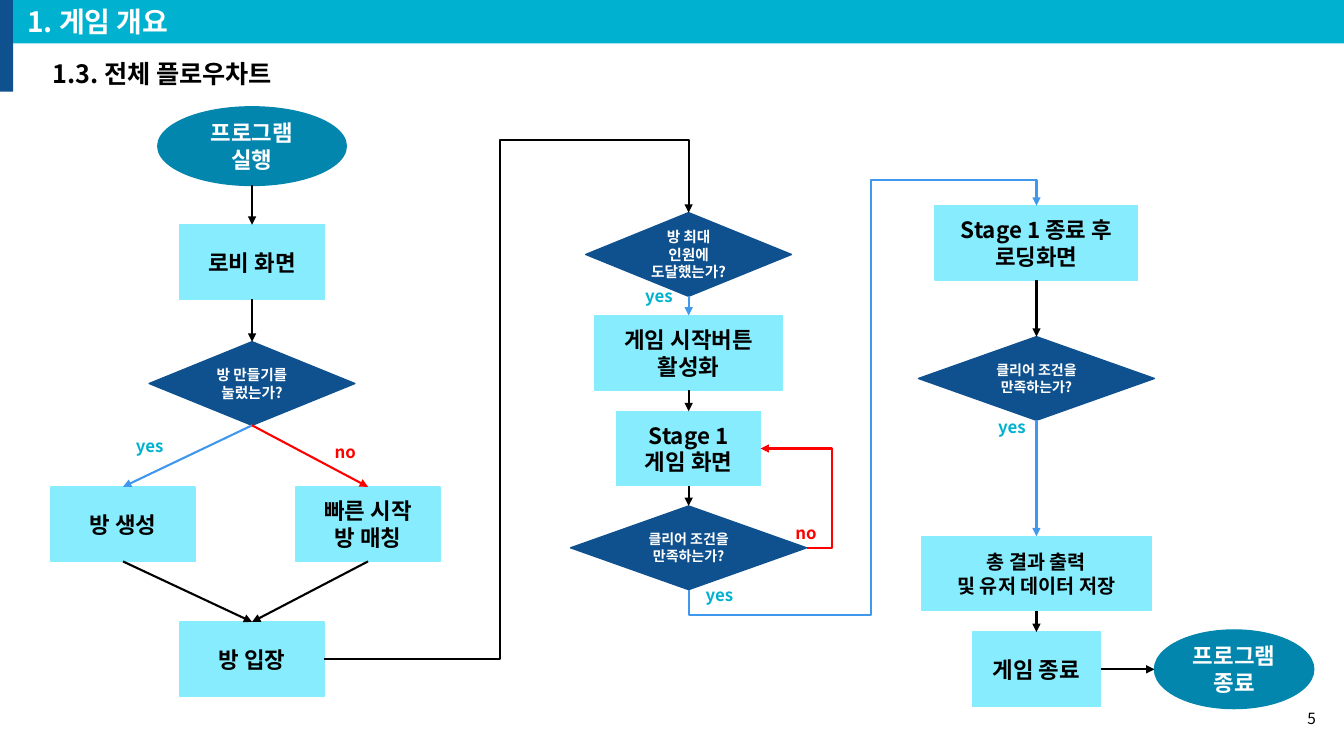
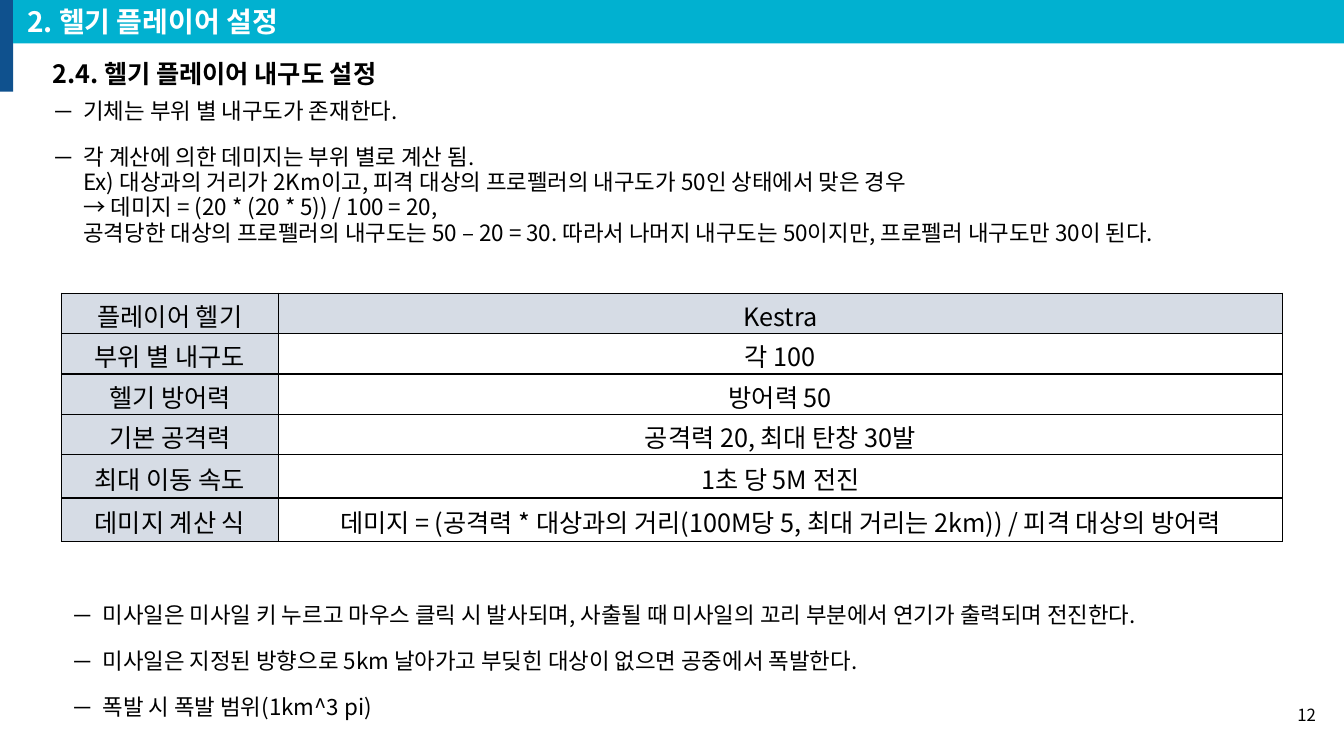
from lxml import etree
from pptx import Presentation
from pptx import util as u
from pptx.dml.color import RGBColor
from pptx.enum import shapes, text
from pptx.oxml.ns import qn

NAVY = RGBColor(0x0F, 0x51, 0x8E)
CYAN = RGBColor(0x01, 0xB1, 0xD0)
TEAL = RGBColor(0x02, 0x86, 0xAD)
SKY = RGBColor(0x87, 0xED, 0xFE)
BLUE = RGBColor(0x3F, 0x98, 0xEB)
RED = RGBColor(0xFF, 0x00, 0x00)
GRAY = RGBColor(0xD6, 0xDC, 0xE5)
BLACK = RGBColor(0x00, 0x00, 0x00)
WHITE = RGBColor(0xFF, 0xFF, 0xFF)
FONT = "Noto Sans CJK KR"
WIDTH, HEIGHT = 13.33, 7.5
EDGE, BAND = 0.13, 0.43
LEFT, CENTER, RIGHT = text.PP_ALIGN.LEFT, text.PP_ALIGN.CENTER, text.PP_ALIGN.RIGHT
MIDDLE, UPPER = text.MSO_ANCHOR.MIDDLE, text.MSO_ANCHOR.TOP
RECT, OVAL, DIAMOND = (shapes.MSO_SHAPE.RECTANGLE, shapes.MSO_SHAPE.OVAL,
                       shapes.MSO_SHAPE.DIAMOND)


def write(frame, content, size, color=BLACK, bold=False, align=LEFT):
    frame.text = content
    look = {"name": FONT, "size": u.Pt(size), "bold": bold}
    for paragraph in frame.paragraphs:
        paragraph.alignment = align
        for run in paragraph.runs:
            for key, value in look.items():
                setattr(run.font, key, value)
            run.font.color.rgb = color
            etree.SubElement(run.font._element, qn("a:ea"), typeface=FONT)


def place(slide, area, content="", size=16, kind=None, fill=None, anchor=UPPER, **style):
    box = [u.Inches(length) for length in area]
    if kind is None:
        item = slide.shapes.add_textbox(*box)
    else:
        item = slide.shapes.add_shape(kind, *box)
        item.shadow.inherit = False
        item.fill.solid()
        item.fill.fore_color.rgb = fill
        item.line.color.rgb = fill
        item.line.width = u.Pt(1)
    for key, value in {"word_wrap": True, "vertical_anchor": anchor}.items():
        setattr(item.text_frame, key, value)
    if content:
        write(item.text_frame, content, size, **style)
    return item


deck = Presentation()
deck.slide_width, deck.slide_height = u.Inches(WIDTH), u.Inches(HEIGHT)

pages = []
for chapter, section, number, number_top, number_size in (
    ("1. 게임 개요", "1.3. 전체 플로우차트", "5", 6.93, 11),
    ("2. 헬기 플레이어 설정", "2.4. 헬기 플레이어 내구도 설정", "12", 6.89, 12),
):
    page = deck.slides.add_slide(deck.slide_layouts[6])
    place(page, (0, 0, EDGE, 0.91), kind=RECT, fill=NAVY).line.fill.background()
    band = place(page, (EDGE, 0, WIDTH - EDGE, BAND), chapter, 20, RECT, CYAN, MIDDLE,
                 color=WHITE, bold=True)
    band.line.fill.background()
    band.text_frame.paragraphs[0]._p.get_or_add_pPr().set("marL", str(u.Inches(0.04)))
    place(page, (0.42, 0.53, 4.08, 0.4), section, 18, bold=True)
    place(page, (12.72, number_top, 0.43, 0.4), number, number_size, anchor=MIDDLE,
          align=RIGHT)
    pages.append(page)
flow, durability = pages

CREATE, LOBBY, QUICK, PLAY, RESULT, EXIT = 1.22, 2.5, 3.65, 6.83, 10.28, 12.24
looks = {
    OVAL: (TEAL, WHITE, 0.78),
    RECT: (SKY, BLACK, 0.74),
    DIAMOND: (NAVY, WHITE, 0.83),
}
steps = {}
for step, kind, column, top, width, size, content in (
    ("launch", OVAL, LOBBY, 1.06, 1.87, 16, "프로그램 실행"),
    ("lobby", RECT, LOBBY, 2.23, 1.43, 16, "로비 화면"),
    ("ask_create", DIAMOND, LOBBY, 3.39, 2.04, 10.5, "방 만들기를 눌렀는가?"),
    ("create", RECT, CREATE, 4.83, 1.43, 16, "방 생성"),
    ("quick", RECT, QUICK, 4.83, 1.43, 16, "빠른 시작\v방 매칭"),
    ("enter", RECT, LOBBY, 6.17, 1.43, 16, "방 입장"),
    ("ask_full", DIAMOND, PLAY, 2.11, 2.04, 10.5, "방 최대\v인원에 도달했는가?"),
    ("ready", RECT, PLAY, 3.13, 1.86, 16, "게임 시작버튼\n활성화"),
    ("stage", RECT, PLAY, 4.08, 1.43, 16, "Stage 1\n게임 화면"),
    ("ask_stage", DIAMOND, PLAY, 5.02, 2.34, 10, "클리어 조건을 만족하는가?"),
    ("loading", RECT, RESULT, 2.04, 2.01, 16, "Stage 1 종료 후 로딩화면"),
    ("ask_clear", DIAMOND, RESULT, 3.34, 2.34, 10, "클리어 조건을 만족하는가?"),
    ("save", RECT, RESULT, 5.32, 2.28, 14, "총 결과 출력\n및 유저 데이터 저장"),
    ("finish", RECT, RESULT, 6.27, 1.27, 16, "게임 종료"),
    ("quit", OVAL, EXIT, 6.25, 1.58, 16, "프로그램 종료"),
):
    fill, ink, height = looks[kind]
    steps[step] = place(flow, (column - width / 2, top, width, height), content, size, kind,
                        fill, MIDDLE, color=ink, bold=True, align=CENTER)

TOP, WEST, BOTTOM, EAST = range(4)
for start, start_side, end, end_side, color, preset, bends in (
    ("launch", BOTTOM, "lobby", TOP, BLACK, None, ()),
    ("lobby", BOTTOM, "ask_create", TOP, BLACK, None, ()),
    ("ask_create", BOTTOM, "create", TOP, BLUE, None, ()),
    ("ask_create", BOTTOM, "quick", TOP, RED, None, ()),
    ("create", BOTTOM, "enter", TOP, BLACK, None, ()),
    ("quick", BOTTOM, "enter", TOP, BLACK, None, ()),
    ("enter", EAST, "ask_full", TOP, BLACK, "bentConnector4", (48200, 116300)),
    ("ask_full", BOTTOM, "ready", TOP, BLUE, None, ()),
    ("ready", BOTTOM, "stage", TOP, BLACK, None, ()),
    ("stage", BOTTOM, "ask_stage", TOP, BLACK, None, ()),
    ("ask_stage", EAST, "stage", EAST, RED, "bentConnector3", (-54700,)),
    ("ask_stage", BOTTOM, "loading", TOP, BLUE, "bentConnector5", (-6600, 52400, 106600)),
    ("loading", BOTTOM, "ask_clear", TOP, BLACK, None, ()),
    ("ask_clear", BOTTOM, "save", TOP, BLUE, None, ()),
    ("save", BOTTOM, "finish", TOP, BLACK, None, ()),
    ("finish", EAST, "quit", WEST, BLACK, None, ()),
):
    ends = []
    for step, side in ((steps[start], start_side), (steps[end], end_side)):
        ends += [step.left + step.width * (1, 0, 1, 2)[side] // 2,
                 step.top + step.height * (0, 1, 2, 1)[side] // 2]
    route = shapes.MSO_CONNECTOR.ELBOW if preset else shapes.MSO_CONNECTOR.STRAIGHT
    arrow = flow.shapes.add_connector(route, *ends)
    if start != "launch":
        arrow.begin_connect(steps[start], start_side)
    if end != "quit":
        arrow.end_connect(steps[end], end_side)
    arrow.line.color.rgb = color
    arrow.line.width = u.Pt(1.5)
    etree.SubElement(arrow.get_or_add_ln(), qn("a:tailEnd"), type="triangle")
    outline = arrow._element.spPr
    etree.SubElement(outline, qn("a:effectLst"))
    if preset:
        geometry = outline.find(qn("a:prstGeom"))
        geometry.set("prst", preset)
        guides = geometry.find(qn("a:avLst"))
        for index, bend in enumerate(bends, 1):
            etree.SubElement(guides, qn("a:gd"), name=f"adj{index}", fmla=f"val {bend}")
    if preset == "bentConnector5":
        across, down = arrow.width, arrow.height
        arrow.left += (across - down) // 2
        arrow.top += (down - across) // 2
        arrow.width, arrow.height = down, across
        for key, value in {"rot": "5400000", "flipH": "1", "flipV": "1"}.items():
            outline.find(qn("a:xfrm")).set(key, value)

for answer, color, spots in (
    ("yes", CYAN, ((1.25, 4.27), (6.3, 2.79), (6.9, 5.75), (9.8, 4.09))),
    ("no", RED, ((3.22, 4.33), (7.79, 5.14))),
):
    for left, top in spots:
        place(flow, (left, top, 0.58, 0.3), answer, 12, color=color, bold=True)

for area, content in (
    ((0.42, 0.93, 12.63, 1.57),
     "기체는 부위 별 내구도가 존재한다.\n"
     "각 계산에 의한 데미지는 부위 별로 계산 됨.\v"
     "Ex) 대상과의 거리가 2Km이고, 피격 대상의 프로펠러의 내구도가 50인 상태에서 맞은 경우\v"
     "→ 데미지 = (20 * (20 * 5)) / 100 = 20,\v"
     "공격당한 대상의 프로펠러의 내구도는 50 – 20 = 30. "
     "따라서 나머지 내구도는 50이지만, 프로펠러 내구도만 30이 된다."),
    ((0.61, 5.93, 12.63, 1.28),
     "미사일은 미사일 키 누르고 마우스 클릭 시 발사되며, "
     "사출될 때 미사일의 꼬리 부분에서 연기가 출력되며 전진한다.\n"
     "미사일은 지정된 방향으로 5km 날아가고 부딪힌 대상이 없으면 공중에서 폭발한다.\n"
     "폭발 시 폭발 범위(1km^3 pi)"),
):
    rules = place(durability, area, content)
    for rule in rules.text_frame.paragraphs:
        properties = rule._p.get_or_add_pPr()
        for key, value in {"marL": 0.31, "indent": -0.31}.items():
            properties.set(key, str(u.Inches(value)))
        etree.SubElement(properties, qn("a:buFont"), typeface=FONT)
        etree.SubElement(properties, qn("a:buChar"), char="－")
        for key, value in {"line_spacing": u.Pt(18), "space_after": u.Pt(15)}.items():
            setattr(rule, key, value)

stats = (
    ("플레이어 헬기", "Kestra"),
    ("부위 별 내구도", "각 100"),
    ("헬기 방어력", "방어력 50"),
    ("기본 공격력", "공격력 20, 최대 탄창 30발"),
    ("최대 이동 속도", "1초 당 5M 전진"),
    ("데미지 계산 식",
     "데미지 = (공격력 * 대상과의 거리(100M당 5, 최대 거리는 2km)) / 피격 대상의 방어력"),
)
row_heights = [0.4] * 4 + [0.43] * 2
column_widths = [2.15, 9.96]
sheet = durability.shapes.add_table(
    len(stats), 2, u.Inches(0.61), u.Inches(2.91),
    u.Inches(sum(column_widths)), u.Inches(sum(row_heights))).table
for key in ("first_row", "horz_banding"):
    setattr(sheet, key, False)
for column, width in zip(sheet.columns, column_widths):
    column.width = u.Inches(width)
margins = {"margin_left": 0.05, "margin_right": 0.05, "margin_top": 0.04, "margin_bottom": 0}
for r, (entry, height) in enumerate(zip(stats, row_heights)):
    sheet.rows[r].height = u.Inches(height)
    for c, content in enumerate(entry):
        cell = sheet.cell(r, c)
        write(cell.text_frame, content, 18, align=CENTER)
        cell.vertical_anchor = MIDDLE
        for key, value in margins.items():
            setattr(cell, key, u.Inches(value))
        for side in "LRTB":
            border = etree.SubElement(cell._tc.get_or_add_tcPr(), qn(f"a:ln{side}"),
                                      w=str(u.Pt(1)))
            paint = etree.SubElement(border, qn("a:solidFill"))
            etree.SubElement(paint, qn("a:srgbClr"), val=str(BLACK))
        if r == 0 or c == 0:
            cell.fill.solid()
            cell.fill.fore_color.rgb = GRAY
        else:
            cell.fill.background()

deck.save("out.pptx")
